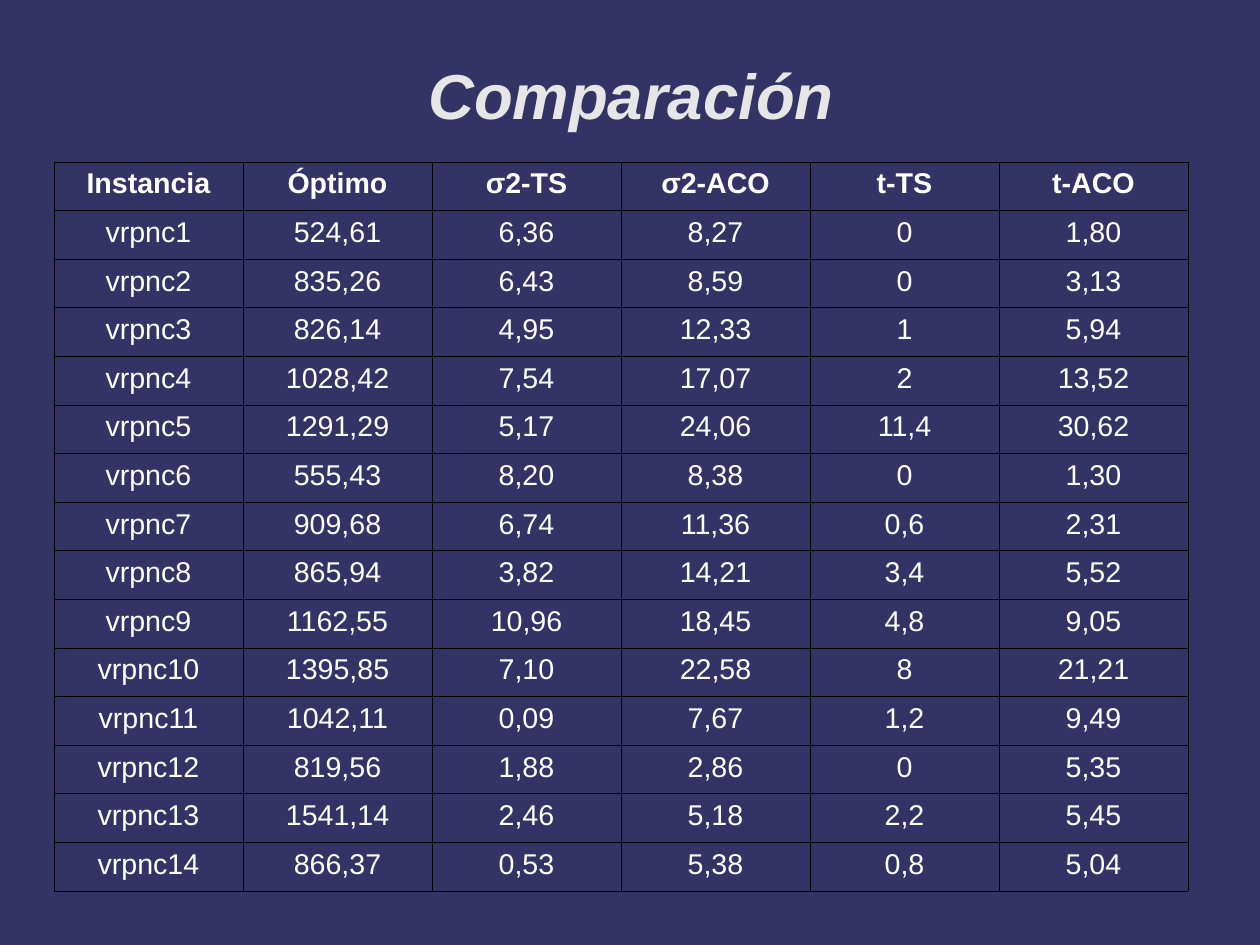
from lxml import etree
from pptx import Presentation
from pptx import util as u
from pptx.dml.color import RGBColor
from pptx.enum import text
from pptx.oxml.ns import qn

PX = 8000
FONT = "Arial"
HUES = {"back": "333366", "title": "E6E6E6", "text": "FFFFFF", "line": "000000"}
ROWS = [line.split() for line in """
Instancia Óptimo σ2-TS σ2-ACO t-TS t-ACO
vrpnc1 524,61 6,36 8,27 0 1,80
vrpnc2 835,26 6,43 8,59 0 3,13
vrpnc3 826,14 4,95 12,33 1 5,94
vrpnc4 1028,42 7,54 17,07 2 13,52
vrpnc5 1291,29 5,17 24,06 11,4 30,62
vrpnc6 555,43 8,20 8,38 0 1,30
vrpnc7 909,68 6,74 11,36 0,6 2,31
vrpnc8 865,94 3,82 14,21 3,4 5,52
vrpnc9 1162,55 10,96 18,45 4,8 9,05
vrpnc10 1395,85 7,10 22,58 8 21,21
vrpnc11 1042,11 0,09 7,67 1,2 9,49
vrpnc12 819,56 1,88 2,86 0 5,35
vrpnc13 1541,14 2,46 5,18 2,2 5,45
vrpnc14 866,37 0,53 5,38 0,8 5,04
""".strip().splitlines()]


def px(*sizes):
    return [u.Emu(size * PX) for size in sizes]


def write(frame, words, size, hue, bold, slant=False):
    frame.text = words
    para = frame.paragraphs[0]
    para.alignment = text.PP_ALIGN.CENTER
    font = para.font
    font.name, font.size = FONT, u.Pt(size)
    font.bold, font.italic = bold, slant
    font.color.rgb = RGBColor.from_string(HUES[hue])


def add_title(slide, box, words):
    frame = slide.shapes.add_textbox(*px(*box)).text_frame
    frame.word_wrap = True
    frame.vertical_anchor = text.MSO_ANCHOR.MIDDLE
    frame.margin_left = frame.margin_right = 0
    frame.margin_top = frame.margin_bottom = 0
    write(frame, words, 40, "title", True, True)


def add_edges(cell):
    props = cell._tc.get_or_add_tcPr()
    for side in ("lnL", "lnR", "lnT", "lnB"):
        edge = etree.SubElement(props, qn(f"a:{side}"), w=str(u.Pt(0.57)))
        fill = etree.SubElement(edge, qn("a:solidFill"))
        etree.SubElement(fill, qn("a:srgbClr"), val=HUES["line"])


def add_grid(slide, box, rows):
    table = slide.shapes.add_table(len(rows), len(rows[0]), *px(*box)).table
    table.first_row = table.horz_banding = False
    for r, row in enumerate(rows):
        for c, words in enumerate(row):
            cell = table.cell(r, c)
            cell.margin_left, cell.margin_right = px(5, 5)
            cell.margin_top, cell.margin_bottom = px(6, 6)
            add_edges(cell)
            cell.fill.background()
            write(cell.text_frame, words, 18, "text", r == 0)


def main():
    deck = Presentation()
    deck.slide_width, deck.slide_height = px(1260, 945)
    slide = deck.slides.add_slide(deck.slide_layouts[6])
    fill = slide.background.fill
    fill.solid()
    fill.fore_color.rgb = RGBColor.from_string(HUES["back"])
    add_title(slide, (93, 15, 1076, 158), "Comparación")
    add_grid(slide, (54, 162, 1134, 729), ROWS)
    deck.save("out.pptx")


if __name__ == "__main__":
    main()
